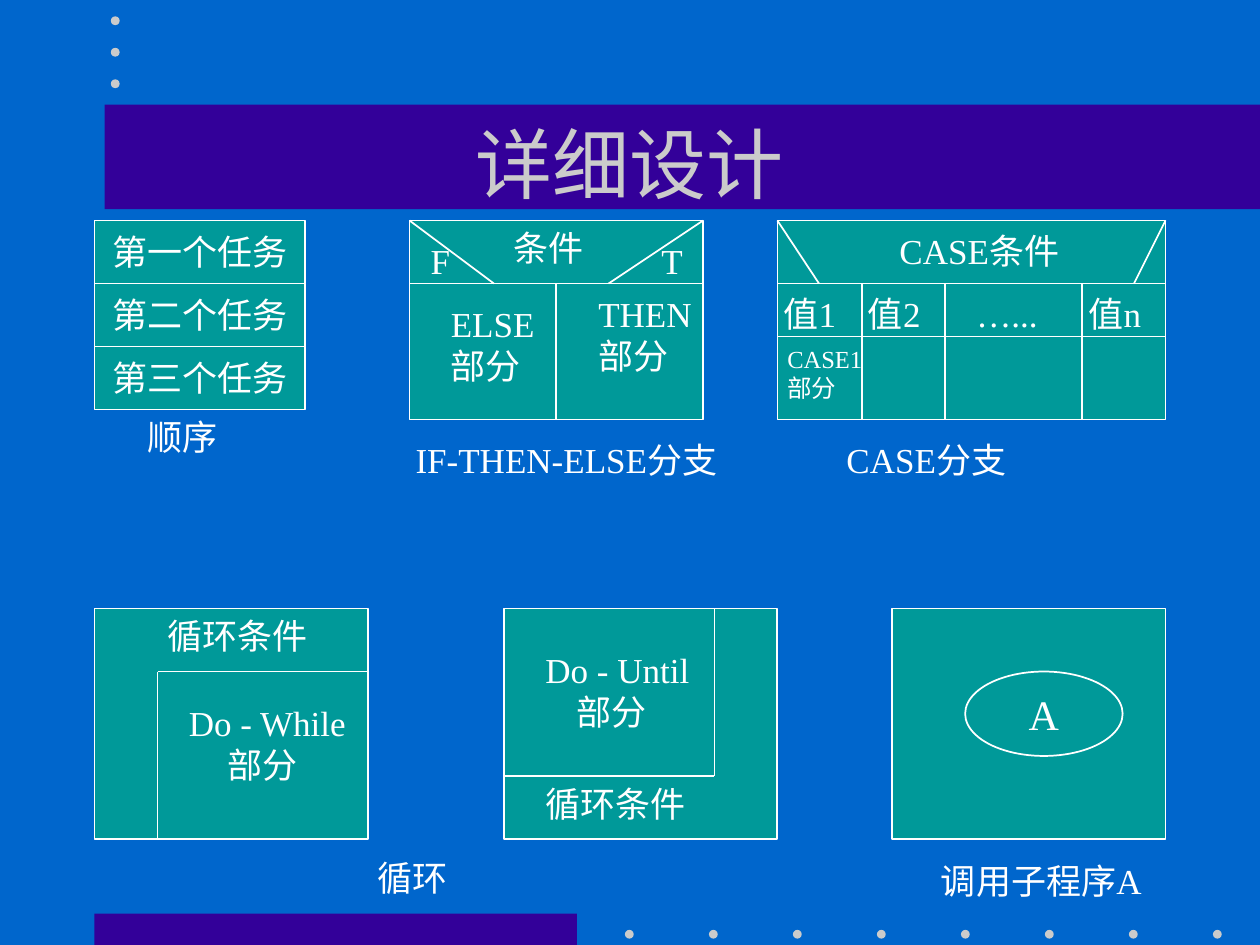
from lxml import etree
from pptx import Presentation
from pptx.dml.color import RGBColor
from pptx.enum.shapes import MSO_CONNECTOR, MSO_SHAPE
from pptx.enum.text import MSO_ANCHOR, MSO_AUTO_SIZE, PP_ALIGN
from pptx.oxml.ns import qn
from pptx.util import Inches, Pt

RECTANGLE, OVAL = MSO_SHAPE.RECTANGLE, MSO_SHAPE.OVAL
STRAIGHT = MSO_CONNECTOR.STRAIGHT
MIDDLE = MSO_ANCHOR.MIDDLE
CENTER, LEFT = PP_ALIGN.CENTER, PP_ALIGN.LEFT
NO_FIT, GROW = MSO_AUTO_SIZE.NONE, MSO_AUTO_SIZE.SHAPE_TO_FIT_TEXT

BLUE = RGBColor(0x00, 0x66, 0xCC)
PURPLE = RGBColor(0x33, 0x00, 0x99)
TEAL = RGBColor(0x00, 0x99, 0x99)
GRAY = RGBColor(0xCB, 0xCB, 0xCB)
WHITE = RGBColor(0xFF, 0xFF, 0xFF)
FONT = "Times New Roman"
SLACK = 0.04  # spare label width, so that a line never breaks


def add_run(paragraph, text, size=20, color=WHITE):
    run = paragraph.add_run()
    run.text = text
    run.font.size = Pt(size)
    run.font.name = FONT
    run.font.color.rgb = color


def add_block(slide, left, top, width, height, kind=RECTANGLE,
              fill=TEAL, line=WHITE, text=None, size=20):
    block = slide.shapes.add_shape(
        kind, Inches(left), Inches(top), Inches(width), Inches(height))
    block.shadow.inherit = False
    block.fill.solid()
    block.fill.fore_color.rgb = fill
    if line is None:
        block.line.fill.background()
    else:
        block.line.color.rgb = line
        block.line.width = Pt(1)
    if text:
        frame = block.text_frame
        frame.word_wrap = False
        frame.vertical_anchor = MIDDLE
        frame.paragraphs[0].alignment = CENTER
        add_run(frame.paragraphs[0], text, size)


def add_line(slide, x1, y1, x2, y2):
    line = slide.shapes.add_connector(
        STRAIGHT, Inches(x1), Inches(y1), Inches(x2), Inches(y2))
    line.line.color.rgb = WHITE
    line.line.width = Pt(1)
    etree.SubElement(line._element.spPr, qn("a:effectLst"))


def add_label(slide, left, top, width, *lines, size=20, indent=0):
    """Unwrapped text; indent shifts every line after the first."""
    height = 0.1 + len(lines) * size / 60
    label = slide.shapes.add_textbox(
        Inches(left), Inches(top), Inches(width + SLACK), Inches(height))
    frame = label.text_frame
    frame.word_wrap = False
    frame.auto_size = GROW
    for number, text in enumerate(lines):
        paragraph = frame.add_paragraph() if number else frame.paragraphs[0]
        paragraph.alignment = LEFT
        if number and indent:
            paragraph._p.get_or_add_pPr().set("marL", str(Inches(indent)))
        add_run(paragraph, text, size)


def add_decoration(slide):
    # Bars behind the title and along the bottom, with rows of dots
    add_block(slide, 0.75, 7.25, 3.83, 0.25, fill=PURPLE, line=None)
    add_block(slide, 0.83, 0.83, 9.17, 0.83, fill=PURPLE, line=None)
    bottom_dots = [(4.96 + i * 2 / 3, 7.38) for i in range(8)]
    top_dots = [(0.88, 0.13 + i * 0.25) for i in range(3)]
    for left, top in bottom_dots + top_dots:
        add_block(slide, left, top, 0.07, 0.07, OVAL, GRAY, None)


def add_title(slide, left, top, width, height):
    title = slide.shapes.title
    title.left, title.top = Inches(left), Inches(top)
    title.width, title.height = Inches(width), Inches(height)
    frame = title.text_frame
    frame.auto_size = NO_FIT
    frame.vertical_anchor = MIDDLE
    frame.paragraphs[0].alignment = CENTER
    add_run(frame.paragraphs[0], "详细设计", 44, GRAY)
    # Bring the title in front of its bar
    slide.shapes._spTree.append(title._element)


def add_sequence(slide, left, top, width, height):
    tasks = ["第一个任务", "第二个任务", "第三个任务"]
    row = height / len(tasks)
    for i, task in enumerate(tasks):
        add_block(slide, left, top + i * row, width, row, text=task)
    add_label(slide, left + 0.32, top + height, 0.75, "顺序")


def add_if_then_else(slide, left, top, width, height):
    right, bottom, head, middle = left + width, top + height, top + 0.5, left + width / 2
    add_block(slide, left, top, width, height)
    add_line(slide, left, head, right, head)
    add_line(slide, middle, head, middle, bottom)
    add_line(slide, left, top, left + 0.67, head)
    add_line(slide, right, top, right - 0.75, head)
    add_label(slide, left + 0.73, top, 0.75, "条件")
    add_label(slide, left + 0.07, top + 0.1, 0.35, "F")
    add_label(slide, left + 1.9, top + 0.1, 0.37, "T")
    add_label(slide, left + 0.23, top + 0.6, 0.86, "ELSE", "部分")
    add_label(slide, left + 1.4, top + 0.52, 0.94, "THEN", "部分")
    add_label(slide, left - 0.05, bottom + 0.1, 2.66, "IF-THEN-ELSE分支")


def add_case(slide, left, top, width, height):
    right, bottom, head = left + width, top + height, top + 0.5
    add_block(slide, left, top, width, height)
    for y in (head, top + 0.92):
        add_line(slide, left, y, right, y)
    for offset in (0.67, 1.33, 2.42):
        add_line(slide, left + offset, head, left + offset, bottom)
    add_line(slide, left, top, left + 0.33, head)
    add_line(slide, right, top, right - 0.25, head)
    add_label(slide, left + 0.87, top + 0.02, 1.53, "CASE条件")
    values = [("值1", -0.05), ("值2", 0.62), ("…...", 1.48), ("值n", 2.37)]
    for value, offset in values:
        add_label(slide, left + offset, head + 0.02, 0.68, value)
    add_label(slide, left - 0.02, top + 0.93, 0.79, "CASE1", "部分", size=14)
    add_label(slide, left + 0.45, bottom + 0.1, 1.53, "CASE分支")


def add_do_while(slide, left, top, width, height):
    inner_left, inner_top = left + 0.5, top + 0.5
    add_block(slide, left, top, width, height)
    add_line(slide, left + width, inner_top, inner_left, inner_top)
    add_line(slide, inner_left, inner_top, inner_left, top + height)
    add_label(slide, left + 0.48, top, 1.31, "循环条件")
    add_label(slide, left + 0.65, top + 0.69, 1.45, "Do - While", "部分", indent=0.31)
    add_label(slide, left + 2.15, top + height + 0.09, 0.75, "循环")


def add_do_until(slide, left, top, width, height):
    inner_right, inner_bottom = left + width - 0.5, top + height - 0.5
    add_block(slide, left, top, width, height)
    add_line(slide, left, inner_bottom, inner_right, inner_bottom)
    add_line(slide, inner_right, inner_bottom, inner_right, top)
    add_label(slide, left + 0.23, top + 0.27, 1.34, "Do - Until", "部分", indent=0.25)
    add_label(slide, left + 0.23, inner_bottom, 1.31, "循环条件")


def add_subroutine_call(slide, left, top, width, height):
    add_block(slide, left, top, width, height)
    add_block(slide, left + 0.58, top + 0.5, 1.25, 0.67, OVAL, text="A", size=24)
    add_label(slide, left + 0.29, top + height + 0.11, 1.86, "调用子程序A")


def main():
    deck = Presentation()
    deck.slide_width, deck.slide_height = Inches(10), Inches(7.5)
    slide = deck.slides.add_slide(deck.slide_layouts[5])
    slide.background.fill.solid()
    slide.background.fill.fore_color.rgb = BLUE

    add_decoration(slide)
    add_title(slide, 0.75, 0.67, 8.5, 1.25)

    # Upper row: sequence and branches
    add_sequence(slide, 0.75, 1.75, 1.67, 1.5)
    add_if_then_else(slide, 3.25, 1.75, 2.33, 1.58)
    add_case(slide, 6.17, 1.75, 3.08, 1.58)

    # Lower row: loops and subroutine call
    add_do_while(slide, 0.75, 4.83, 2.17, 1.83)
    add_do_until(slide, 4, 4.83, 2.17, 1.83)
    add_subroutine_call(slide, 7.08, 4.83, 2.17, 1.83)

    deck.save("out.pptx")


if __name__ == "__main__":
    main()
